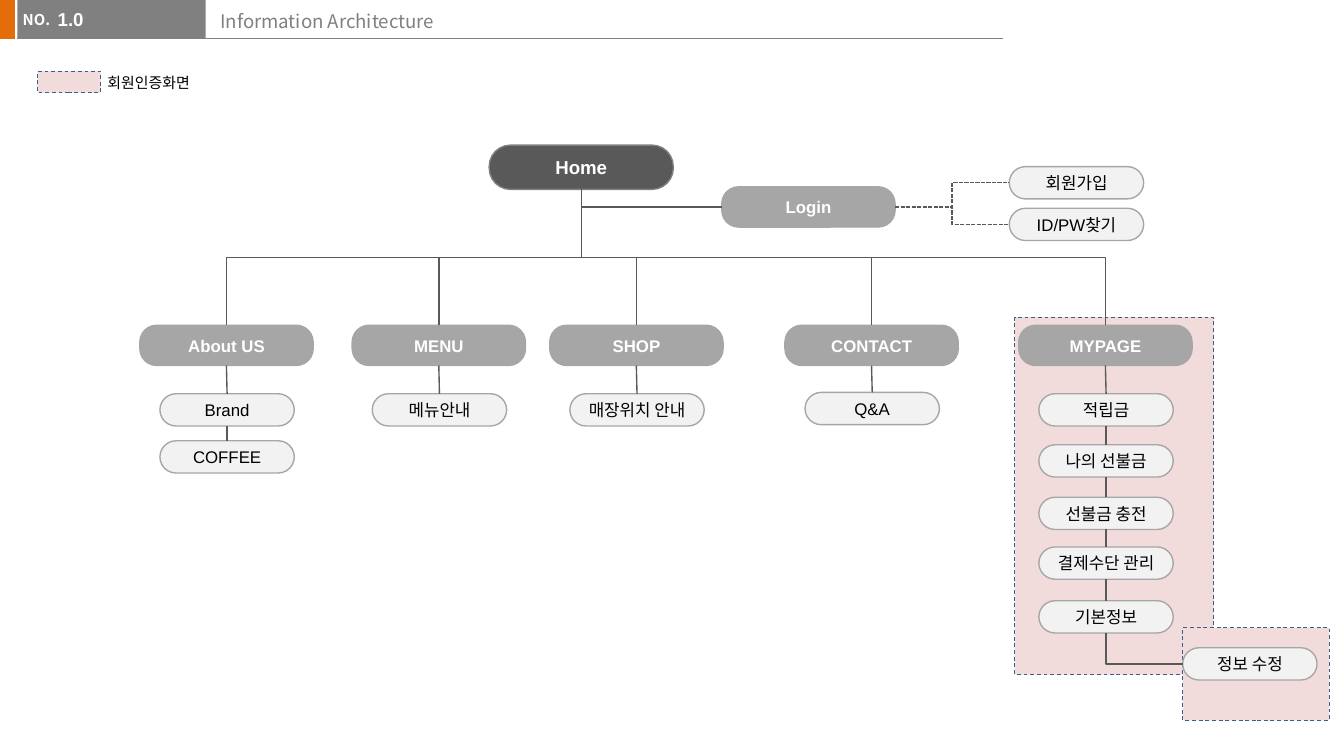
from pptx import Presentation
from pptx.dml.color import RGBColor
from pptx.enum.dml import MSO_LINE
from pptx.enum.shapes import MSO_CONNECTOR, MSO_SHAPE
from pptx.enum.text import MSO_ANCHOR, PP_ALIGN
from pptx.oxml.ns import qn
from pptx.util import Inches, Pt
from lxml.etree import SubElement

THEME = {
    "orange": "E46C0A", "gray": "808080", "dark": "595959", "middle": "A6A6A6",
    "light": "F2F2F2", "pink": "F2DCDB", "blue": "3A5F8C",
    "white": "FFFFFF", "black": "000000",
    "latin": "Arial", "korean": "Noto Sans CJK KR",
    "large": 10, "normal": 9, "small": 8,
}
COLUMN = ROW = Inches(0.1)


def write_text(shape, text, size="normal", color="black", font="latin", bold=False,
               align=PP_ALIGN.LEFT, anchor=MSO_ANCHOR.TOP, wrap=True, margins=(0.1, 0.05)):
    frame = shape.text_frame
    frame.word_wrap = wrap
    frame.vertical_anchor = anchor
    frame.margin_left = frame.margin_right = Inches(margins[0])
    frame.margin_top = frame.margin_bottom = Inches(margins[1])
    paragraph = frame.paragraphs[0]
    paragraph.alignment = align
    run = paragraph.add_run()
    run.text = text
    run.font.name = THEME[font]
    run.font.size = Pt(THEME[size])
    run.font.bold = bold
    run.font.color.rgb = RGBColor.from_string(THEME[color])
    east_asian = SubElement(run.font._element, qn("a:ea"))
    east_asian.set("typeface", THEME["korean"])


def style_line(shape, color, width, dash=None):
    shape.line.color.rgb = RGBColor.from_string(THEME[color])
    shape.line.width = Pt(width)
    if dash:
        shape.line.dash_style = dash
    SubElement(shape._element.spPr, qn("a:effectLst"))


presentation = Presentation()
presentation.slide_width = 100 * COLUMN
presentation.slide_height = presentation.slide_width * 9 // 16
slide = presentation.slides.add_slide(presentation.slide_layouts[5])
shapes = slide.shapes

for left, width, color in [(-0.1, 1.2, "orange"), (1.3, 14, "gray")]:
    band = shapes.add_shape(MSO_SHAPE.RECTANGLE, int(left * COLUMN), 0,
                            int(width * COLUMN), int(2.9 * ROW))
    band.fill.solid()
    band.fill.fore_color.rgb = RGBColor.from_string(THEME[color])
    band.line.fill.background()
    band.shadow.inherit = False

header_rule = shapes.add_connector(MSO_CONNECTOR.STRAIGHT, int(1.3 * COLUMN), int(2.9 * ROW),
                                   int(74.6 * COLUMN), int(2.9 * ROW))
style_line(header_rule, "gray", 0.5)

title = shapes.title
title.left, title.top = int(15.4 * COLUMN), int(0.2 * ROW)
title.width, title.height = int(59.1 * COLUMN), int(3.2 * ROW)
write_text(title, "Information Architecture", size="large", color="gray", font="korean")

labels = [
    ("NO.", 0.7, 0.3, 4.1, 2.4,
     dict(size="small", color="white", font="korean", bold=True, wrap=False)),
    ("1.0", 4.3, 0.1, 11, 3.1,
     dict(size="large", color="white", bold=True, margins=(0, 0.05))),
    ("회원인증화면", 7, 5, 8.8, 2.4, dict(size="small", font="korean", wrap=False)),
]
for text, left, top, width, height, text_format in labels:
    label = shapes.add_textbox(int(left * COLUMN), int(top * ROW),
                               int(width * COLUMN), int(height * ROW))
    write_text(label, text, **text_format)

member_areas = [(2.8, 5.3, 4.7, 1.6), (75.5, 23.6, 14.8, 26.6), (88, 46.7, 10.9, 6.9)]
for left, top, width, height in member_areas:
    area = shapes.add_shape(MSO_SHAPE.RECTANGLE, int(left * COLUMN), int(top * ROW),
                            int(width * COLUMN), int(height * ROW))
    area.fill.solid()
    area.fill.fore_color.rgb = RGBColor.from_string(THEME["pink"])
    style_line(area, "blue", 0.5, MSO_LINE.DASH)

node_styles = {
    "home": (13.7, 3.3, 0.48, "dark", "gray", dict(size="large", color="white", bold=True)),
    "section": (12.9, 3, 0.42, "middle", "middle", dict(color="white", bold=True)),
    "page": (10, 2.4, 0.5, "light", "middle", dict()),
}
sections = [
    ("About US", 10.4, [("Brand", 29.3), ("COFFEE", 32.8)]),
    ("MENU", 26.2, [("메뉴안내", 29.3)]),
    ("SHOP", 40.9, [("매장위치 안내", 29.3)]),
    ("CONTACT", 58.4, [("Q&A", 29.2)]),
    ("MYPAGE", 75.8, [("적립금", 29.3), ("나의 선불금", 33.1), ("선불금 충전", 37),
                      ("결제수단 관리", 40.7), ("기본정보", 44.7)]),
]
BOTTOM_TO_TOP, BOTTOM_TO_LEFT, RIGHT_TO_LEFT = (2, 0), (2, 1), (3, 1)
STRAIGHT, ELBOW = MSO_CONNECTOR.STRAIGHT, MSO_CONNECTOR.ELBOW

nodes = [
    ("Home", "home", 36.4, 10.8),
    ("Login", "section", 53.7, 13.9),
    ("회원가입", "page", 75.1, 12.4),
    ("ID/PW찾기", "page", 75.1, 15.5),
    ("정보 수정", "page", 88, 48.2),
]
links = [
    ("Home", "Login", BOTTOM_TO_LEFT, ELBOW, None),
    ("Login", "회원가입", RIGHT_TO_LEFT, ELBOW, MSO_LINE.SQUARE_DOT),
    ("Login", "ID/PW찾기", RIGHT_TO_LEFT, ELBOW, MSO_LINE.SQUARE_DOT),
    ("기본정보", "정보 수정", BOTTOM_TO_LEFT, ELBOW, None),
]
for section, left, pages in sections:
    nodes.append((section, "section", left, 24.2))
    links.append(("Home", section, BOTTOM_TO_TOP, ELBOW, None))
    parent = section
    for page, top in pages:
        nodes.append((page, "page", left + 1.5, top))
        links.append((parent, page, BOTTOM_TO_TOP, STRAIGHT, None))
        parent = page

node_shapes = {}
for text, kind, left, top in nodes:
    width, height, rounding, fill, outline, text_format = node_styles[kind]
    node = shapes.add_shape(MSO_SHAPE.ROUNDED_RECTANGLE, int(left * COLUMN), int(top * ROW),
                            int(width * COLUMN), int(height * ROW))
    node.adjustments[0] = rounding
    node.fill.solid()
    node.fill.fore_color.rgb = RGBColor.from_string(THEME[fill])
    style_line(node, outline, 0.75)
    write_text(node, text, align=PP_ALIGN.CENTER, anchor=MSO_ANCHOR.MIDDLE,
               margins=(0.02, 0.02), **text_format)
    node_shapes[text] = node

for start, end, sites, kind, dash in links:
    connector = shapes.add_connector(kind, 0, 0, 0, 0)
    connector.begin_connect(node_shapes[start], sites[0])
    connector.end_connect(node_shapes[end], sites[1])
    style_line(connector, "dark", 0.75, dash)
    if kind == ELBOW and sites != RIGHT_TO_LEFT:
        across = connector.end_x - connector.begin_x
        down = connector.end_y - connector.begin_y
        center_x = (connector.begin_x + connector.end_x) // 2
        center_y = (connector.begin_y + connector.end_y) // 2
        connector.left, connector.top = center_x - down // 2, center_y - abs(across) // 2
        connector.width, connector.height = down, abs(across)
        properties = connector._element.spPr
        transform = properties.find(qn("a:xfrm"))
        transform.set("rot", "16200000" if across > 0 else "5400000")
        transform.set("flipH", "1" if across > 0 else "0")
        if sites == BOTTOM_TO_LEFT:
            properties.find(qn("a:prstGeom")).set("prst", "bentConnector2")

presentation.save("out.pptx")
